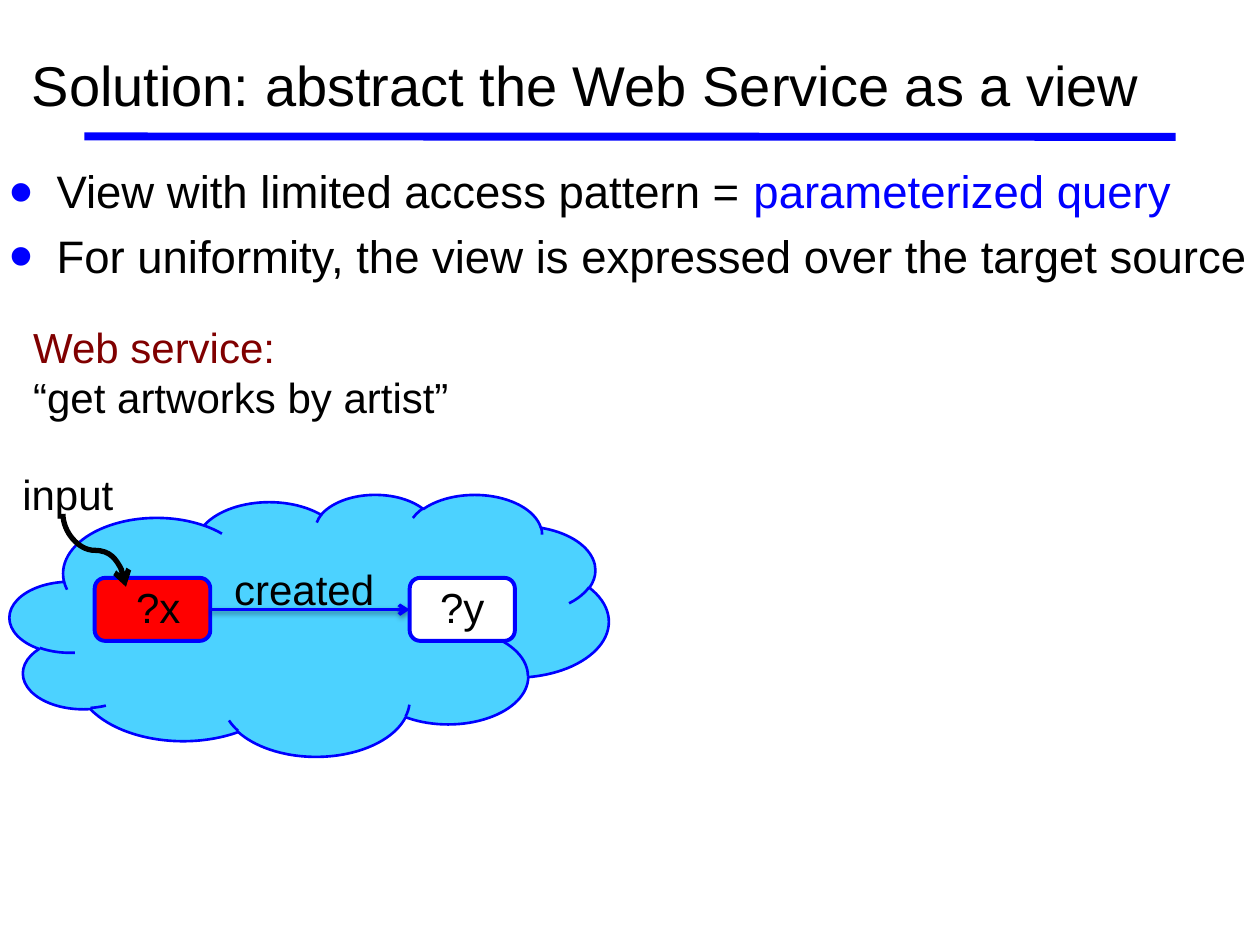
"""Build the slide that presents a web service as a parameterized view."""
import pptx
import pptx.util
import pptx.oxml
import pptx.dml.color
import pptx.enum.shapes
import pptx.enum.text
from pptx.oxml import ns

Cm, Pt = pptx.util.Cm, pptx.util.Pt
RGB = pptx.dml.color.RGBColor
SHAPE = pptx.enum.shapes.MSO_SHAPE
LINK = pptx.enum.shapes.MSO_CONNECTOR
ANCHOR = pptx.enum.text.MSO_ANCHOR
ALIGN = pptx.enum.text.PP_ALIGN
AUTO = pptx.enum.text.MSO_AUTO_SIZE

BLACK = RGB(0x00, 0x00, 0x00)
WHITE = RGB(0xFF, 0xFF, 0xFF)
BLUE = RGB(0x00, 0x00, 0xFF)
SKY = RGB(0x4C, 0xD2, 0xFF)
RED = RGB(0xFF, 0x00, 0x00)
MAROON = RGB(0x80, 0x00, 0x00)

BULLET = (
    '<a:buClr %s><a:srgbClr val="0000FF"/></a:buClr>',
    '<a:buSzPct %s val="150000"/>',
    '<a:buFont %s typeface="Arial"/>',
    '<a:buChar %s char="•"/>',
)
SHADOW = (
    '<a:outerShdw %s blurRad="39370" dist="20320" dir="5400000" rotWithShape="0">'
    '<a:srgbClr val="000000"><a:alpha val="38000"/></a:srgbClr></a:outerShdw>'
)


def apply(obj, values):
    for name, value in values.items():
        setattr(obj, name, value)


def xml(text):
    return pptx.oxml.parse_xml(text % ns.nsdecls("a"))


class Deck:
    font = "Arial"
    line_spacing = 0.93

    def __init__(self, width, height):
        self.prs = pptx.Presentation()
        apply(self.prs, {"slide_width": Cm(width), "slide_height": Cm(height)})
        self.s = self.prs.slides.add_slide(self.prs.slide_layouts[5])

    def add_text(self, tf, paragraphs, size, margin=None, bullet=False, frame=None, **fmt):
        if margin is not None:
            for side in ("left", "top", "right", "bottom"):
                setattr(tf, "margin_" + side, Cm(margin))
        apply(tf, frame or {})
        for i, runs in enumerate(paragraphs):
            p = tf.add_paragraph() if i else tf.paragraphs[0]
            if bullet:
                pPr = p._p.get_or_add_pPr()
                pPr.set("marL", str(Cm(0.94)))
                pPr.set("indent", str(-Cm(0.94)))
                for item in BULLET:
                    pPr.append(xml(item))
            apply(p, fmt)
            if bullet and i:
                p.space_before = Pt(8)
            for text, color in runs:
                r = p.add_run()
                r.text = text
                apply(r.font, {"name": self.font, "size": Pt(size), "bold": False})
                r.font.color.rgb = color

    def title(self, text, x, y, w, h):
        sp = self.s.shapes.title
        apply(sp, {"left": Cm(x), "top": Cm(y), "width": Cm(w), "height": Cm(h)})
        self.add_text(sp.text_frame, [[(text, BLACK)]], 32, margin=0,
                      frame={"vertical_anchor": ANCHOR.MIDDLE, "word_wrap": True,
                             "auto_size": AUTO.NONE},
                      alignment=ALIGN.LEFT, line_spacing=self.line_spacing)

    def bullets(self, paragraphs, x, y, w, h):
        sp = self.s.shapes.add_textbox(Cm(x), Cm(y), Cm(w), Cm(h))
        self.add_text(sp.text_frame, paragraphs, 26, margin=0, bullet=True,
                      frame={"word_wrap": True}, line_spacing=self.line_spacing)

    def label(self, paragraphs, x, y, w, h):
        sp = self.s.shapes.add_textbox(Cm(x), Cm(y), Cm(w), Cm(h))
        self.add_text(sp.text_frame, paragraphs, 24,
                      frame={"word_wrap": False, "auto_size": AUTO.SHAPE_TO_FIT_TEXT})

    def shape(self, kind, fill, weight, x, y, w, h, text=None):
        sp = self.s.shapes.add_shape(kind, Cm(x), Cm(y), Cm(w), Cm(h))
        sp.shadow.inherit = False
        sp.fill.solid()
        sp.fill.fore_color.rgb = fill
        sp.line.color.rgb = BLUE
        sp.line.width = Pt(weight)
        if text:
            self.add_text(sp.text_frame, [[(text, BLACK)]], 24, margin=0.1,
                          frame={"vertical_anchor": ANCHOR.TOP},
                          alignment=ALIGN.CENTER, line_spacing=self.line_spacing)

    def line(self, kind, color, weight, x1, y1, x2, y2, arrow=False, shadow=False, turn=0):
        sp = self.s.shapes.add_connector(kind, Cm(x1), Cm(y1), Cm(x2), Cm(y2))
        sp.line.color.rgb = color
        sp.line.width = Pt(weight)
        spPr = sp._element.spPr
        if turn:
            spPr.find(ns.qn("a:xfrm")).set("rot", str(turn * 60000))
        if arrow:
            spPr.find(ns.qn("a:ln")).append(xml('<a:tailEnd %s type="arrow"/>'))
        effects = xml("<a:effectLst %s/>")
        if shadow:
            effects.append(xml(SHADOW))
        spPr.append(effects)


def main():
    d = Deck(25.4, 19.05)
    d.line(LINK.STRAIGHT, BLUE, 4.5, 1.7, 2.75, 23.7, 2.76)
    d.shape(SHAPE.CLOUD, SKY, 1.5, 0.2, 9.96, 12.07, 5.28)
    d.title("Solution: abstract the Web Service as a view", 0.64, 0.2, 25.83, 3.15)
    d.bullets([
        [("View with limited access pattern = ", BLACK), ("parameterized query", BLUE)],
        [("For uniformity, the view is expressed over the target source", BLACK)],
    ], 0.2, 3.39, 29, 12.55)
    d.label([[("Web service:", MAROON)], [("“get artworks by artist”", BLACK)]],
            0.42, 6.35, 9.19, 2.31)
    d.shape(SHAPE.ROUNDED_RECTANGLE, RED, 2.25, 1.91, 11.65, 2.33, 1.27, " ?x")
    d.line(LINK.STRAIGHT, BLUE, 2, 4.24, 12.29, 8.26, 12.29, arrow=True, shadow=True)
    d.shape(SHAPE.ROUNDED_RECTANGLE, WHITE, 2.25, 8.26, 11.65, 2.12, 1.27, "?y")
    d.label([[("created", BLACK)]], 4.47, 11.23, 3.35, 1.27)
    d.line(LINK.CURVE, BLACK, 3, 2.64, 10.46, 1.17, 11.73, arrow=True, turn=270)
    d.label([[("input", BLACK)]], 0.2, 9.33, 2.37, 1.27)
    d.prs.save("out.pptx")


if __name__ == "__main__":
    main()
